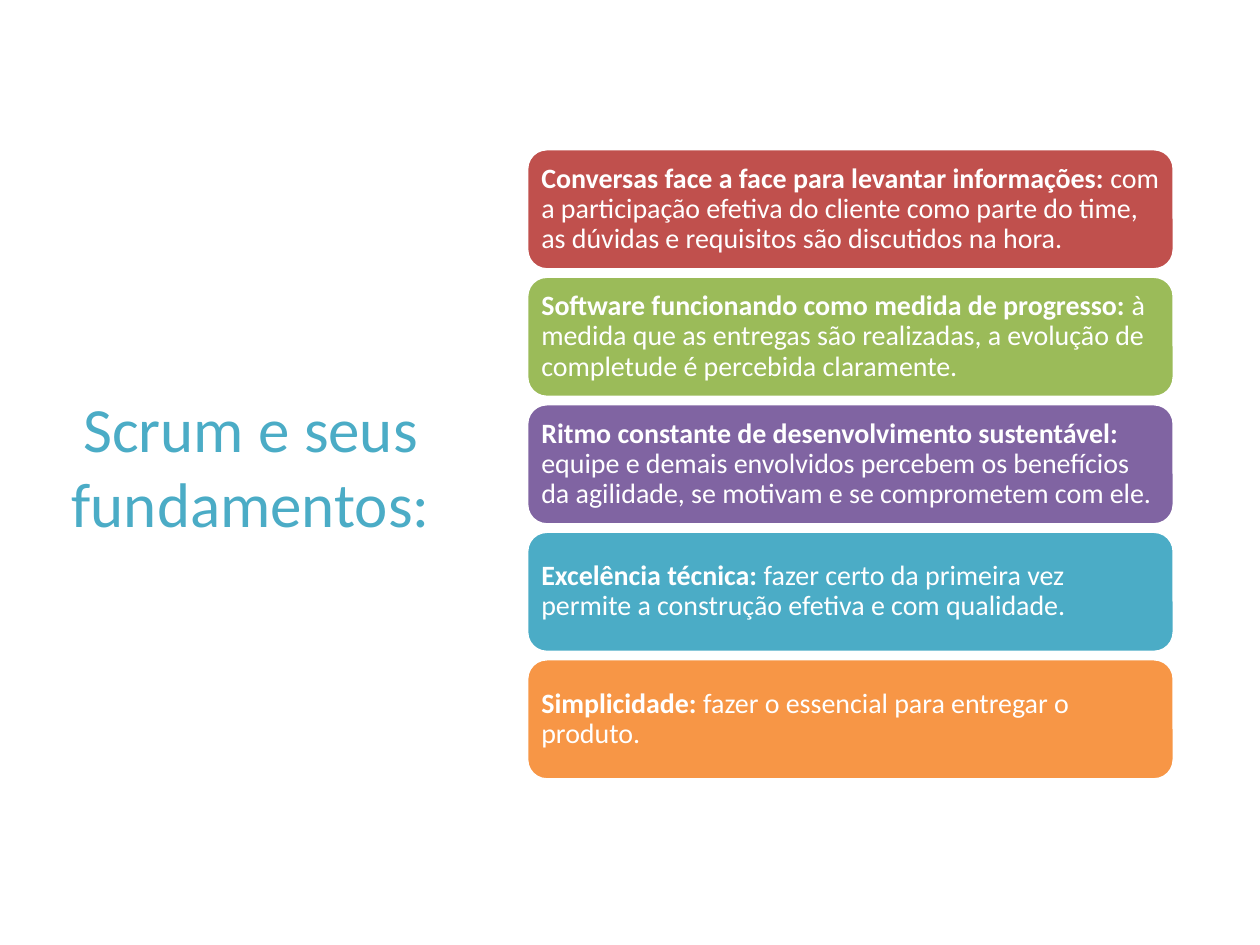
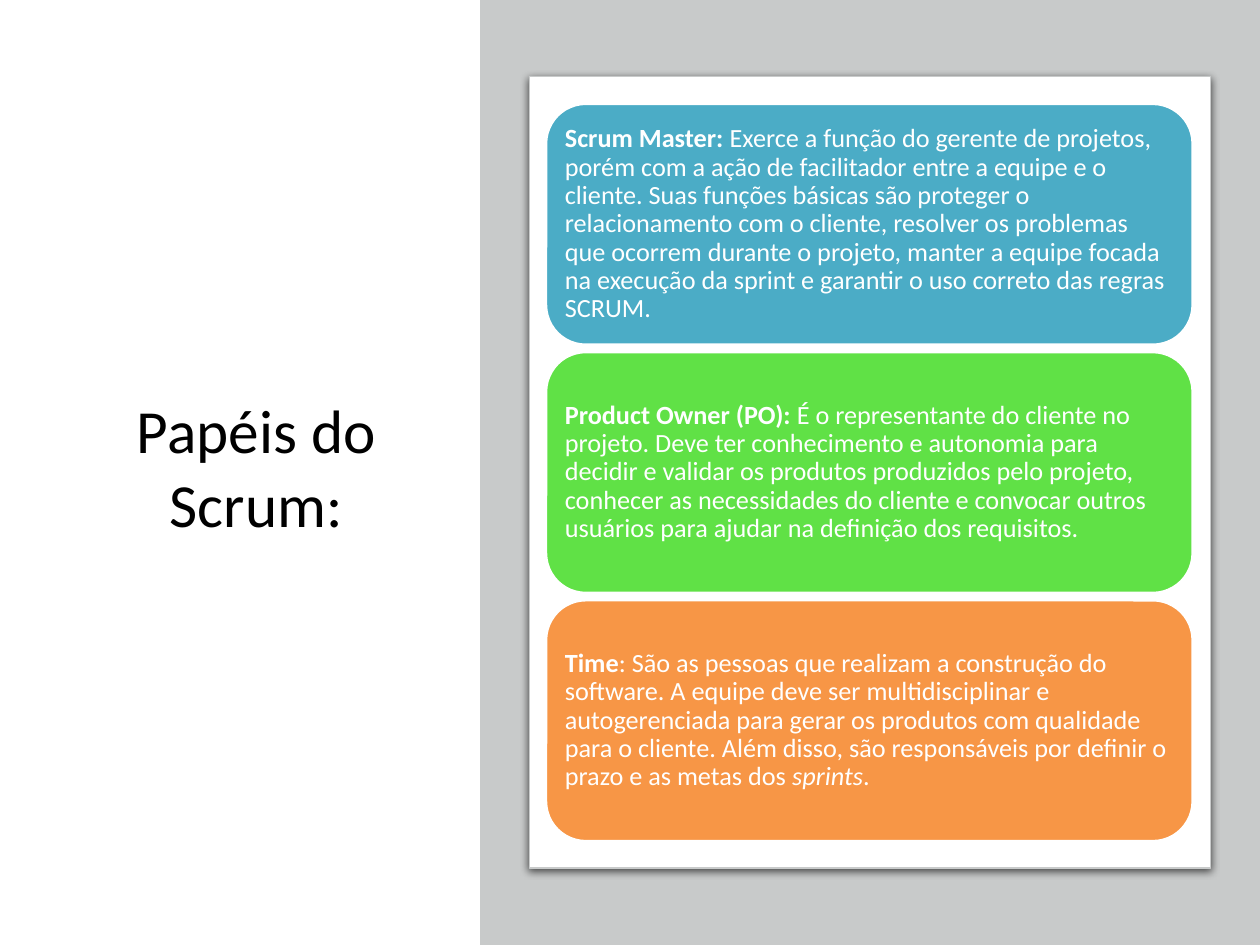
from dataclasses import dataclass

from lxml import etree
from pptx import Presentation
from pptx.dml.color import RGBColor
from pptx.enum.shapes import MSO_SHAPE
from pptx.enum.text import MSO_ANCHOR, MSO_AUTO_SIZE, PP_ALIGN
from pptx.oxml.ns import qn
from pptx.util import Inches, Pt

RECTANGLE = MSO_SHAPE.RECTANGLE
ROUNDED = MSO_SHAPE.ROUNDED_RECTANGLE
MIDDLE = MSO_ANCHOR.MIDDLE
NO_AUTOFIT = MSO_AUTO_SIZE.NONE
CENTER, LEFT = PP_ALIGN.CENTER, PP_ALIGN.LEFT
TITLE_ONLY = 5


@dataclass(frozen=True)
class Theme:
    font: str = "Calibri"
    white: str = "FFFFFF"
    black: str = "000000"
    gray: str = "C8CACA"
    red: str = "C0504D"
    olive: str = "9BBB59"
    purple: str = "8064A2"
    teal: str = "4BACC6"
    orange: str = "F79646"
    green: str = "60E146"
    title_size: int = 36
    roles_title_size: int = 35
    principle_size: int = 16
    role_size: int = 15
    card_line: float = 2
    frame_line: float = 0.75


THEME = Theme()

# Each card: fill colour, then runs of (text, style)
PRINCIPLES = [
    (THEME.red, [
        ("Conversas face a face para levantar informações: ", "bold"),
        ("com a participação efetiva do cliente como parte do time, "
         "as dúvidas e requisitos são discutidos na hora.", None)]),
    (THEME.olive, [
        ("Software funcionando como medida de progresso: ", "bold"),
        ("à medida que as entregas são realizadas, a evolução de "
         "completude é percebida claramente.", None)]),
    (THEME.purple, [
        ("Ritmo constante de desenvolvimento sustentável: ", "bold"),
        ("equipe e demais envolvidos percebem os benefícios da agilidade, "
         "se motivam e se comprometem com ele.", None)]),
    (THEME.teal, [
        ("Excelência técnica: ", "bold"),
        ("fazer certo da primeira vez permite a construção efetiva "
         "e com qualidade.", None)]),
    (THEME.orange, [
        ("Simplicidade: ", "bold"),
        ("fazer o essencial para entregar o produto.", None)]),
]

ROLES = [
    (THEME.teal, [
        ("Scrum Master: ", "bold"),
        ("Exerce a função do gerente de projetos, porém com a ação de "
         "facilitador entre a equipe e o cliente. Suas funções básicas são "
         "proteger o relacionamento com o cliente, resolver os problemas que "
         "ocorrem durante o projeto, manter a equipe focada na execução da "
         "sprint e garantir o uso correto das regras SCRUM.", None)]),
    (THEME.green, [
        ("Product Owner (PO): ", "bold"),
        ("É o representante do cliente no projeto. Deve ter conhecimento e "
         "autonomia para decidir e validar os produtos produzidos pelo "
         "projeto, conhecer as necessidades do cliente e convocar outros "
         "usuários para ajudar na definição dos requisitos.", None)]),
    (THEME.orange, [
        ("Time", "bold"),
        (": São as pessoas que realizam a construção do software. A equipe "
         "deve ser multidisciplinar e autogerenciada para gerar os produtos "
         "com qualidade para o cliente. Além disso, são responsáveis por "
         "definir o prazo e as metas dos ", None),
        ("sprints", "italic"),
        (".", None)]),
]


def apply_format(target, values):
    for name, value in values.items():
        setattr(target, name, value)


class Deck:
    """Holds the theme and the slide being built."""

    def __init__(self, theme):
        self.theme = theme
        self.presentation = Presentation()
        self.presentation.slide_width = Inches(10)
        self.presentation.slide_height = Inches(7.5)
        self.slide = None

    def new_slide(self):
        layout = self.presentation.slide_layouts[TITLE_ONLY]
        self.slide = self.presentation.slides.add_slide(layout)

    def add_runs(self, paragraph, runs, size, color):
        for text, style in runs:
            run = paragraph.add_run()
            run.text = text
            apply_format(run.font, {
                "name": self.theme.font, "size": Pt(size),
                "bold": style == "bold", "italic": style == "italic"})
            run.font.color.rgb = RGBColor.from_string(color)

    def title(self, text, box, size, color):
        title = self.slide.shapes.title
        names = ("left", "top", "width", "height")
        apply_format(title, dict(zip(names, map(Inches, box))))
        apply_format(title.text_frame, {
            "word_wrap": True, "auto_size": NO_AUTOFIT,
            "vertical_anchor": MIDDLE})
        paragraph = title.text_frame.paragraphs[0]
        paragraph.alignment = CENTER
        self.add_runs(paragraph, [(text, None)], size, color)

    def box(self, kind, box, fill, line=None, line_width=0):
        shape = self.slide.shapes.add_shape(kind, *map(Inches, box))
        shape.shadow.inherit = False
        shape.fill.solid()
        shape.fill.fore_color.rgb = RGBColor.from_string(fill)
        if line:
            shape.line.color.rgb = RGBColor.from_string(line)
            shape.line.width = Pt(line_width)
        else:
            shape.line.fill.background()
        return shape

    def drop_shadow(self, shape, color, opacity, blur, distance, angle):
        effects = shape._element.spPr.find(qn("a:effectLst"))
        shadow = etree.SubElement(effects, qn("a:outerShdw"), {
            "blurRad": str(Pt(blur)), "dist": str(Pt(distance)),
            "dir": str(angle * 60000), "rotWithShape": "0"})
        tint = etree.SubElement(shadow, qn("a:srgbClr"), val=color)
        etree.SubElement(tint, qn("a:alpha"), val=str(opacity * 1000))

    def card_stack(self, cards, area, size, inset, gap=0.05):
        """Fill the area with cards of equal height."""
        left, top, width, height = area
        card_height = (height - gap * (len(cards) - 1)) / len(cards)
        margin = Inches(inset)
        for index, (fill, runs) in enumerate(cards):
            card_top = top + index * (card_height + gap)
            card = self.box(ROUNDED, (left, card_top, width, card_height),
                            fill, self.theme.white, self.theme.card_line)
            apply_format(card.text_frame, {
                "word_wrap": True, "vertical_anchor": MIDDLE,
                "margin_left": margin, "margin_right": margin,
                "margin_top": margin, "margin_bottom": margin})
            paragraph = card.text_frame.paragraphs[0]
            apply_format(paragraph, {"alignment": LEFT, "line_spacing": 0.9})
            self.add_runs(paragraph, runs, size, self.theme.white)


def build_principles(deck):
    theme = deck.theme
    deck.new_slide()
    deck.title("Scrum e seus fundamentos:", (0.43, 0.68, 3.12, 6.02),
               theme.title_size, theme.teal)
    deck.card_stack(PRINCIPLES, (4.18, 1.18, 5.14, 5.01),
                    theme.principle_size, 0.07)


def build_roles(deck):
    theme = deck.theme
    deck.new_slide()
    deck.title("Papéis do Scrum:", (0.53, 0.69, 3.01, 6.02),
               theme.roles_title_size, theme.black)
    # Gray side panel with a framed white sheet
    deck.box(RECTANGLE, (3.81, 0, 6.19, 7.5), theme.gray)
    sheet = deck.box(ROUNDED, (4.2, 0.61, 5.41, 6.28), theme.white,
                     theme.gray, theme.frame_line)
    sheet.adjustments[0] = 0
    deck.drop_shadow(sheet, theme.black, opacity=63, blur=4.5,
                     distance=1.5, angle=90)
    deck.card_stack(ROLES, (4.33, 0.82, 5.14, 5.86), theme.role_size, 0.06)


def main():
    deck = Deck(THEME)
    build_principles(deck)
    build_roles(deck)
    deck.presentation.save("out.pptx")


if __name__ == "__main__":
    main()
